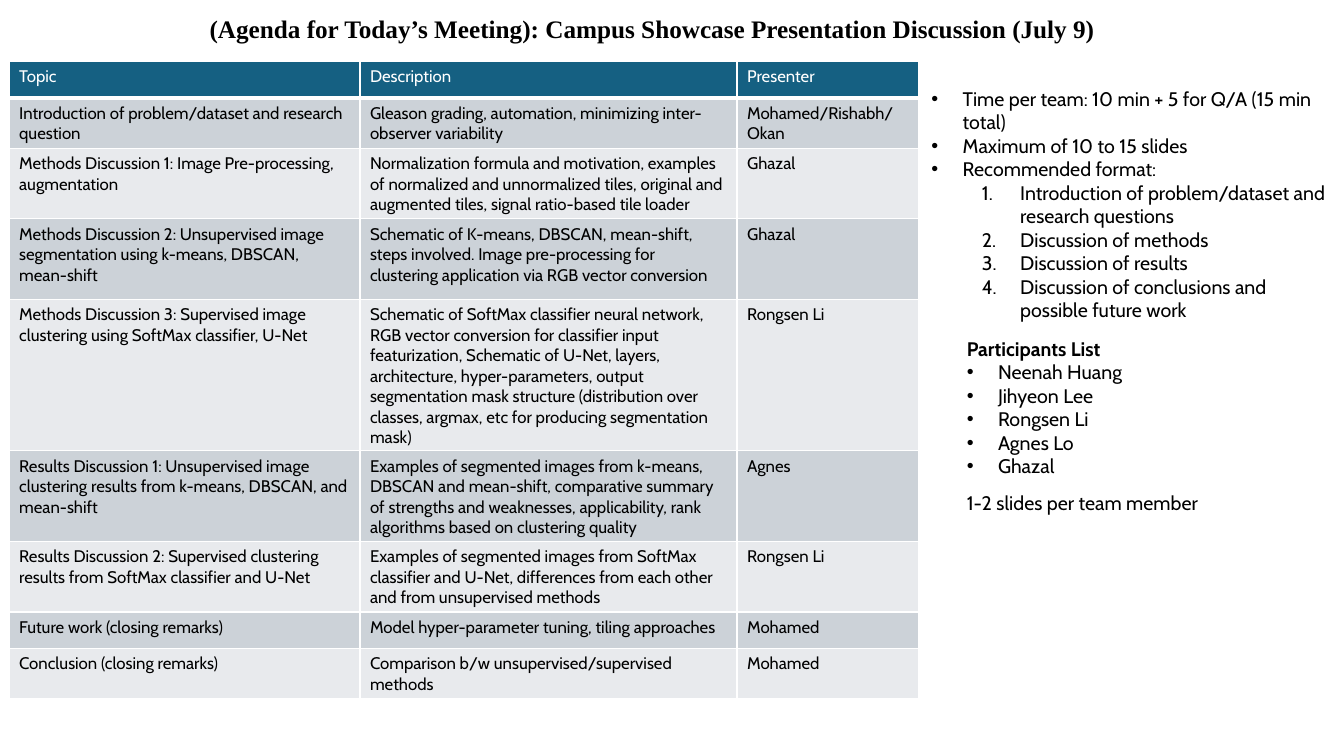
from lxml.etree import SubElement
from pptx import Presentation
from pptx.dml.color import RGBColor
from pptx.enum.text import MSO_AUTO_SIZE, PP_ALIGN
from pptx.oxml.ns import qn
from pptx.util import Inches, Pt

BLACK = RGBColor(0x00, 0x00, 0x00)
WHITE = RGBColor(0xFF, 0xFF, 0xFF)
HEADER_BLUE = RGBColor(0x15, 0x60, 0x82)
BAND_DARK = RGBColor(0xCC, 0xD2, 0xD8)
BAND_LIGHT = RGBColor(0xE8, 0xEA, 0xED)

COLUMN_WIDTHS = [3.48, 3.74, 1.8]
ROW_HEIGHTS = [0.36, 0.44, 0.44, 0.8, 0.62, 0.8, 0.62, 0.36, 0.36]
AGENDA = [
    ("Topic", "Description", "Presenter"),
    ("Introduction of problem/dataset and research question",
     "Gleason grading, automation, minimizing inter-observer variability",
     "Mohamed/Rishabh/Okan"),
    ("Methods Discussion 1: Image Pre-processing, augmentation",
     "Normalization formula and motivation, examples of normalized and unnormalized tiles, "
     "original and augmented tiles, signal ratio-based tile loader",
     "Ghazal"),
    ("Methods Discussion 2: Unsupervised image segmentation using k-means, DBSCAN, mean-shift",
     "Schematic of K-means, DBSCAN, mean-shift, steps involved. Image pre-processing for "
     "clustering application via RGB vector conversion",
     "Ghazal"),
    ("Methods Discussion 3: Supervised image clustering using SoftMax classifier, U-Net",
     "Schematic of SoftMax classifier neural network, RGB vector conversion for classifier "
     "input featurization, Schematic of U-Net, layers, architecture, hyper-parameters, output "
     "segmentation mask structure (distribution over classes, argmax, etc for producing "
     "segmentation mask)",
     "Rongsen Li"),
    ("Results Discussion 1: Unsupervised image clustering results from k-means, DBSCAN, "
     "and mean-shift",
     "Examples of segmented images from k-means, DBSCAN and mean-shift, comparative summary "
     "of strengths and weaknesses, applicability, rank algorithms based on clustering quality",
     "Agnes"),
    ("Results Discussion 2: Supervised clustering results from SoftMax classifier and U-Net",
     "Examples of segmented images from SoftMax classifier and U-Net, differences from each "
     "other and from unsupervised methods",
     "Rongsen Li"),
    ("Future work (closing remarks)",
     "Model hyper-parameter tuning, tiling approaches", "Mohamed"),
    ("Conclusion (closing remarks)",
     "Comparison b/w unsupervised/supervised methods", "Mohamed"),
]
GUIDELINES = ["Time per team: 10 min + 5 for Q/A (15 min total)",
              "Maximum of 10 to 15 slides", "Recommended format:"]
FORMAT_STEPS = ["Introduction of problem/dataset and research questions",
                "Discussion of methods", "Discussion of results",
                "Discussion of conclusions and possible future work"]
PARTICIPANTS = ["Neenah Huang", "Jihyeon Lee", "Rongsen Li", "Agnes Lo", "Ghazal"]


def write(para, text, font="Cabin", size=14, color=BLACK, bold=False, align=None, marker=None):
    """Fill a paragraph; marker is None, "bullet" or "number"."""
    if marker:
        properties = para._p.get_or_add_pPr()
        left, hanging = (0.31, 0.31) if marker == "bullet" else (0.88, 0.38)
        properties.set("marL", str(Inches(left)))
        properties.set("indent", str(-Inches(hanging)))
        if marker == "bullet":
            SubElement(properties, qn("a:buFont"), typeface="Arial")
            SubElement(properties, qn("a:buChar"), char="•")
        else:
            para.level = 1
            SubElement(properties, qn("a:buAutoNum"), type="arabicPeriod")
    para.alignment = align
    span = para.add_run()
    span.text = text
    span.font.name = font
    span.font.size = Pt(size)
    span.font.bold = bold
    span.font.color.rgb = color


class AgendaSlide:
    def __init__(self, page, border_color=WHITE):
        self.page = page
        self.border_color = border_color

    def text(self, left, top, width, height, lines):
        """Add a text box; lines holds pairs of text and format."""
        box = self.page.shapes.add_textbox(
            Inches(left), Inches(top), Inches(width), Inches(height))
        frame = box.text_frame
        frame.word_wrap = True
        frame.auto_size = MSO_AUTO_SIZE.SHAPE_TO_FIT_TEXT
        for index, (text, style) in enumerate(lines):
            para = frame.add_paragraph() if index else frame.paragraphs[0]
            write(para, text, **style)

    def borders(self, cell, top, bottom):
        properties = cell._tc.get_or_add_tcPr()
        for side, width in (("L", 1), ("R", 1), ("T", top), ("B", bottom)):
            line = SubElement(properties, qn(f"a:ln{side}"), w=str(Pt(width)))
            fill = SubElement(line, qn("a:solidFill"))
            SubElement(fill, qn("a:srgbClr"), val=str(self.border_color))

    def table(self, left, top, rows, widths, heights):
        table = self.page.shapes.add_table(
            len(rows), len(widths), Inches(left), Inches(top),
            Inches(sum(widths)), Inches(sum(heights))).table
        for column, width in zip(table.columns, widths):
            column.width = Inches(width)
        for index, (row, height, texts) in enumerate(zip(table.rows, heights, rows)):
            row.height = Inches(height)
            band = BAND_DARK if index % 2 else BAND_LIGHT
            for cell, text in zip(row.cells, texts):
                self.borders(cell, top=3 if index == 1 else 1, bottom=1 if index else 3)
                cell.fill.solid()
                cell.fill.fore_color.rgb = band if index else HEADER_BLUE
                write(cell.text_frame.paragraphs[0], text, size=12,
                      color=BLACK if index else WHITE)


def main():
    deck = Presentation()
    deck.slide_width, deck.slide_height = Inches(13.33), Inches(7.5)
    slide = AgendaSlide(deck.slides.add_slide(deck.slide_layouts[6]))
    bullet, number = {"marker": "bullet"}, {"marker": "number"}

    title = "(Agenda for Today’s Meeting): Campus Showcase Presentation Discussion (July 9) "
    slide.text(0.3, 0.08, 12.4, 0.4, [
        (title, {"font": "Times New Roman", "size": 18, "bold": True,
                 "align": PP_ALIGN.CENTER})])
    slide.text(9.49, 3.29, 3.62, 1.51,
               [("Participants List", {"bold": True})]
               + [(name, bullet) for name in PARTICIPANTS])
    slide.text(9.14, 0.81, 4.19, 2.46,
               [(text, bullet) for text in GUIDELINES]
               + [(text, number) for text in FORMAT_STEPS])
    slide.table(0.09, 0.61, AGENDA, COLUMN_WIDTHS, ROW_HEIGHTS)
    slide.text(9.49, 4.82, 3.35, 0.34, [("1-2 slides per team member", {})])
    deck.save("out.pptx")


if __name__ == "__main__":
    main()
